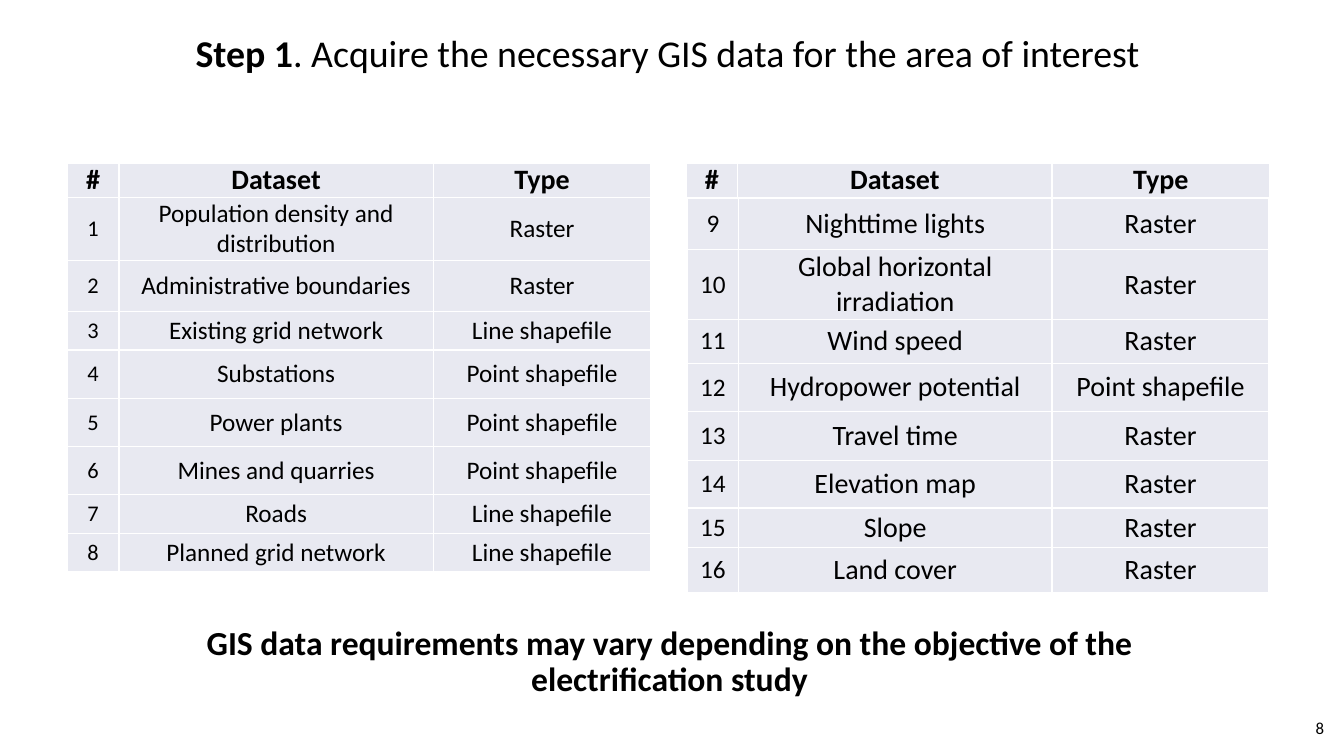
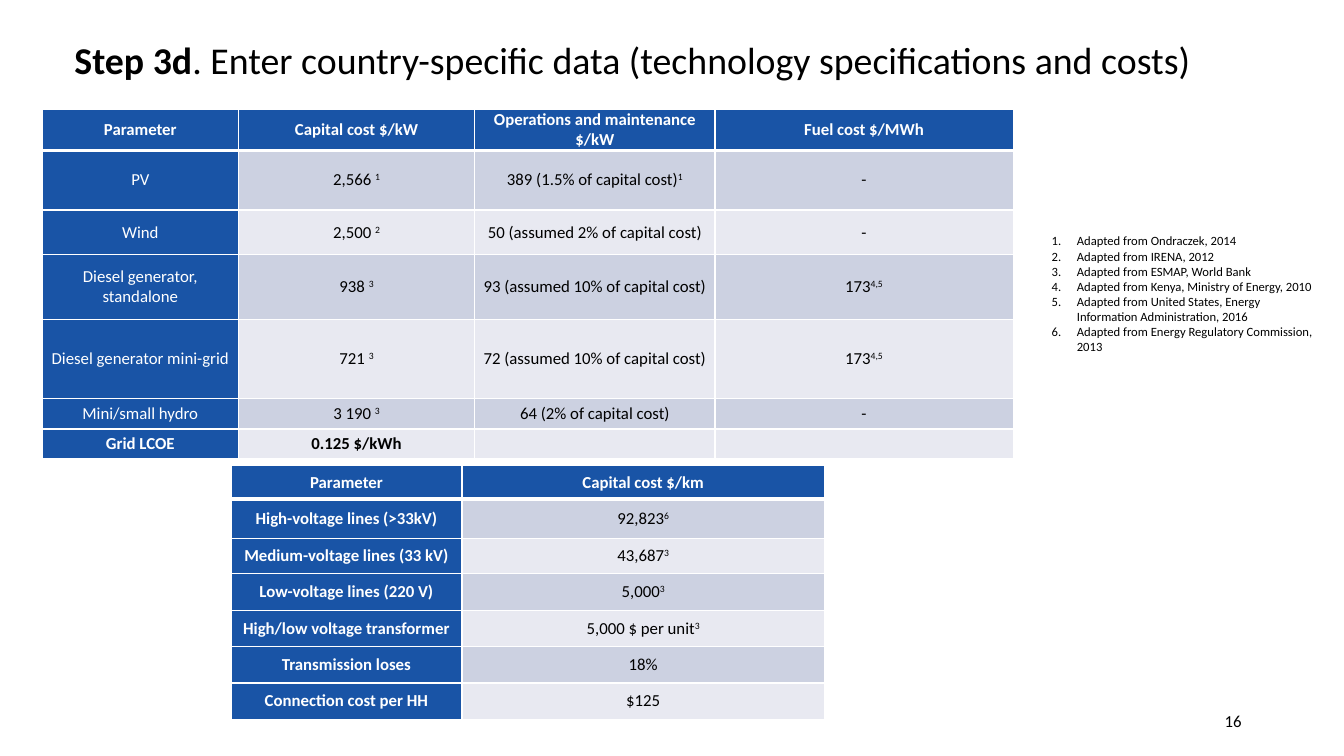
import dataclasses

import lxml.etree
import pptx
import pptx.dml.color
import pptx.enum.text
import pptx.oxml.ns
import pptx.slide
import pptx.text.text
import pptx.util

Pt = pptx.util.Pt
Color = pptx.dml.color.RGBColor
Align = pptx.enum.text.PP_ALIGN
Anchor = pptx.enum.text.MSO_ANCHOR
qn = pptx.oxml.ns.qn


@dataclasses.dataclass(frozen=True)
class Theme:
    font: str = "Calibri"
    text: str = "000000"
    white: str = "FFFFFF"
    blue: str = "1954A6"
    band: str = "CCD1E1"
    pale: str = "E8E9F1"
    title_size: float = 27
    note_size: float = 24
    large_size: float = 20
    medium_size: float = 18
    index_size: float = 16
    small_size: float = 12
    reference_size: float = 9


THEME = Theme()


@dataclasses.dataclass(frozen=True)
class Box:
    left: float
    top: float
    width: float
    height: float


@dataclasses.dataclass(frozen=True)
class TableStyle:
    header_size: float
    label_size: float
    value_size: float
    accent_fill: str
    accent_text: str
    bands: tuple[str, ...]
    side_margin: float
    header_rule: float


@dataclasses.dataclass(frozen=True)
class DataTable:
    left: float
    top: float
    columns: tuple[float, ...]
    heights: tuple[float, ...]
    rows: tuple[tuple[str, ...], ...]
    style: TableStyle
    header: bool = True
    bold_labels: bool = False
    bold_rows: tuple[int, ...] = ()


LEFT_STYLE = TableStyle(THEME.large_size, THEME.index_size, THEME.medium_size,
                        THEME.pale, THEME.text, (THEME.pale,), 0.7, 1)
RIGHT_STYLE = dataclasses.replace(LEFT_STYLE, label_size=THEME.medium_size,
                                  value_size=THEME.large_size)
COST_STYLE = TableStyle(THEME.small_size, THEME.small_size, THEME.small_size,
                        THEME.blue, THEME.white, (THEME.band, THEME.pale), 5, 3)

DATASET_HEADER = ("#", "Dataset", "Type")
DATASET_COLUMNS = (37, 224.5, 155.5)

DATASETS_LEFT = DataTable(
    48, 116.5, DATASET_COLUMNS,
    (24.5, 45, 36.5, 27.5, 34.5, 34.5, 34.5, 27.5, 27.5),
    (
        DATASET_HEADER,
        ("1", "Population density and distribution", "Raster"),
        ("2", "Administrative boundaries", "Raster"),
        ("3", "Existing grid network", "Line shapefile"),
        ("4", "Substations", "Point shapefile"),
        ("5", "Power plants", "Point shapefile"),
        ("6", "Mines and quarries", "Point shapefile"),
        ("7", "Roads", "Line shapefile"),
        ("8", "Planned grid network", "Line shapefile"),
    ),
    LEFT_STYLE,
)
DATASETS_RIGHT = DataTable(
    491, 142, (36.5, 224, 155),
    (36.5, 49.5, 31.5, 34.5, 35, 34, 28, 32.5),
    (
        ("9", "Nighttime lights", "Raster"),
        ("10", "Global horizontal irradiation", "Raster"),
        ("11", "Wind speed", "Raster"),
        ("12", "Hydropower potential", "Point shapefile"),
        ("13", "Travel time", "Raster"),
        ("14", "Elevation map", "Raster"),
        ("15", "Slope", "Raster"),
        ("16", "Land cover", "Raster"),
    ),
    RIGHT_STYLE, header=False,
)
DATASETS_RIGHT_HEADER = DataTable(
    490, 116.5, DATASET_COLUMNS, (24.5,), (DATASET_HEADER,), RIGHT_STYLE)

TECHNOLOGY_COSTS = DataTable(
    30.25, 78, (140, 169, 171.5, 213),
    (29.5, 42.5, 32, 46, 57, 21.5, 21.5),
    (
        ("Parameter", "Capital cost $/kW", "Operations and maintenance $/kW",
         "Fuel cost $/MWh"),
        ("PV", "2,566 ^1", "389 (1.5% of capital cost)^1", "-"),
        ("Wind", "2,500 ^2", "50 (assumed 2% of capital cost)", "-"),
        ("Diesel generator, standalone", "938 ^3",
         "93 (assumed 10% of capital cost)", "173^4,5"),
        ("Diesel generator mini-grid", "721 ^3",
         "72 (assumed 10% of capital cost)", "173^4,5"),
        ("Mini/small hydro", "3 190 ^3", "64 (2% of capital cost)", "-"),
        ("Grid LCOE", "0.125 $/kWh", "", ""),
    ),
    COST_STYLE, bold_rows=(6,),
)
NETWORK_COSTS = DataTable(
    165, 332.5, (165, 259),
    (24, 28, 25, 26.5, 26, 26, 26),
    (
        ("Parameter", "Capital cost $/km"),
        ("High-voltage lines (>33kV)", "92,823^6"),
        ("Medium-voltage lines (33 kV)", "43,687^3"),
        ("Low-voltage lines (220 V)", "5,000^3"),
        ("High/low voltage transformer", "5,000 $ per unit^3"),
        ("Transmission loses", "18%"),
        ("Connection cost per HH", "$125"),
    ),
    COST_STYLE, bold_labels=True,
)

REFERENCES = (
    "Adapted from Ondraczek, 2014",
    "Adapted from IRENA, 2012",
    "Adapted from ESMAP, World Bank",
    "Adapted from Kenya, Ministry of Energy, 2010",
    "Adapted from United States, Energy Information Administration, 2016",
    "Adapted from Energy Regulatory Commission, 2013",
)


def format_paragraph(paragraph: pptx.text.text._Paragraph, size: float,
                     align: Align, color: str = THEME.text,
                     bold: bool | None = False) -> None:
    paragraph.alignment = align
    paragraph.space_before = Pt(0)
    font = paragraph.font
    font.name = THEME.font
    font.size = Pt(size)
    font.color.rgb = Color.from_string(color)
    font.bold = bold


def place(shape, box: Box, anchor: Anchor = Anchor.TOP) -> pptx.text.text.TextFrame:
    shape.left, shape.top = Pt(box.left), Pt(box.top)
    shape.width, shape.height = Pt(box.width), Pt(box.height)
    frame = shape.text_frame
    frame.word_wrap = True
    frame.auto_size = pptx.enum.text.MSO_AUTO_SIZE.NONE
    frame.vertical_anchor = anchor
    return frame


def set_bullet(paragraph: pptx.text.text._Paragraph, tag: str, indent: float,
               **attributes: str) -> None:
    properties = paragraph._p.get_or_add_pPr()
    properties.set("marL", str(Pt(indent)))
    properties.set("indent", str(-Pt(indent)))
    lxml.etree.SubElement(properties, qn(tag), attributes)


def add_title(slide: pptx.slide.Slide, box: Box, step: str, text: str) -> None:
    paragraph = place(slide.shapes.title, box).paragraphs[0]
    format_paragraph(paragraph, THEME.title_size, Align.LEFT, bold=None)
    paragraph.line_spacing = 0.9
    for content, bold in ((step, True), (text, False)):
        run = paragraph.add_run()
        run.text = content
        run.font.bold = bold


def add_note(slide: pptx.slide.Slide, box: Box, text: str) -> None:
    paragraph = place(slide.placeholders[1], box).paragraphs[0]
    paragraph.text = text
    set_bullet(paragraph, "a:buNone", 0)
    format_paragraph(paragraph, THEME.note_size, Align.CENTER, bold=True)
    paragraph.line_spacing = 0.9


def add_references(slide: pptx.slide.Slide, box: Box, references: tuple[str, ...]) -> None:
    frame = place(slide.placeholders[1], box)
    frame.text = "\n".join(references)
    for paragraph in frame.paragraphs:
        set_bullet(paragraph, "a:buAutoNum", 18, type="arabicPeriod")
        format_paragraph(paragraph, THEME.reference_size, Align.LEFT)


def add_page_number(slide: pptx.slide.Slide, left: float, top: float, number: int) -> None:
    box = Box(left, top, 216, 29)
    paragraph = place(slide.shapes.add_textbox(0, 0, 0, 0), box, Anchor.MIDDLE).paragraphs[0]
    paragraph.text = str(number)
    format_paragraph(paragraph, THEME.small_size, Align.RIGHT)


def set_borders(cell, top: float, bottom: float) -> None:
    properties = cell._tc.get_or_add_tcPr()
    widths = {"a:lnL": 1, "a:lnR": 1, "a:lnT": top, "a:lnB": bottom}
    for position, (tag, width) in enumerate(widths.items()):
        line = lxml.etree.Element(qn(tag), w=str(Pt(width)))
        fill = lxml.etree.SubElement(line, qn("a:solidFill"))
        lxml.etree.SubElement(fill, qn("a:srgbClr"), val=THEME.white)
        properties.insert(position, line)


def fill_cell(cell, text: str, fill: str, color: str, size: float, bold: bool,
              side_margin: float) -> None:
    cell.fill.solid()
    cell.fill.fore_color.rgb = Color.from_string(fill)
    cell.margin_left = cell.margin_right = Pt(side_margin)
    cell.margin_top = cell.margin_bottom = Pt(0)
    cell.vertical_anchor = Anchor.MIDDLE
    paragraph = cell.text_frame.paragraphs[0]
    format_paragraph(paragraph, size, Align.CENTER, color, bold)
    value, _, reference = text.partition("^")
    if value:
        paragraph.add_run().text = value
    if reference:
        run = paragraph.add_run()
        run.text = reference
        run._r.get_or_add_rPr().set("baseline", "30000")


def add_data_table(slide: pptx.slide.Slide, data: DataTable) -> None:
    style = data.style
    table = slide.shapes.add_table(
        len(data.rows), len(data.columns), Pt(data.left), Pt(data.top),
        Pt(sum(data.columns)), Pt(sum(data.heights))).table
    table.first_row = table.horz_banding = False
    for column, width in zip(table.columns, data.columns):
        column.width = Pt(width)
    for row, height in zip(table.rows, data.heights):
        row.height = Pt(height)
    for row_index, texts in enumerate(data.rows):
        is_header = data.header and row_index == 0
        below_header = data.header and row_index == 1
        for column_index, text in enumerate(texts):
            is_label = column_index == 0
            accent = is_header or is_label
            size = (style.header_size if is_header
                    else style.label_size if is_label else style.value_size)
            fill = (style.accent_fill if accent
                    else style.bands[(row_index - 1) % len(style.bands)])
            bold = (is_header or row_index in data.bold_rows
                    or (is_label and data.bold_labels))
            cell = table.cell(row_index, column_index)
            fill_cell(cell, text, fill, style.accent_text if accent else THEME.text,
                      size, bold, style.side_margin)
            set_borders(cell, style.header_rule if below_header else 1,
                        style.header_rule if is_header else 1)


def main() -> None:
    presentation = pptx.Presentation()
    presentation.slide_width, presentation.slide_height = Pt(960), Pt(540)
    layout = presentation.slide_layouts[1]

    datasets = presentation.slides.add_slide(layout)
    add_title(datasets, Box(132.5, 21, 692, 35), "Step 1",
              ". Acquire the necessary GIS data for the area of interest")
    for table in (DATASETS_LEFT, DATASETS_RIGHT, DATASETS_RIGHT_HEADER):
        add_data_table(datasets, table)
    add_note(datasets, Box(101, 443.5, 754.5, 62),
             "GIS data requirements may vary depending on the objective of the "
             "electrification study")
    add_page_number(datasets, 737, 505, 8)

    costs = presentation.slides.add_slide(layout)
    add_title(costs, Box(46, 26, 832, 35), "Step 3d",
              ". Enter country-specific data (technology specifications and costs)")
    for table in (TECHNOLOGY_COSTS, NETWORK_COSTS):
        add_data_table(costs, table)
    add_references(costs, Box(744, 163, 202, 105), REFERENCES)
    add_page_number(costs, 678, 500.5, 16)

    presentation.save("out.pptx")


if __name__ == "__main__":
    main()
